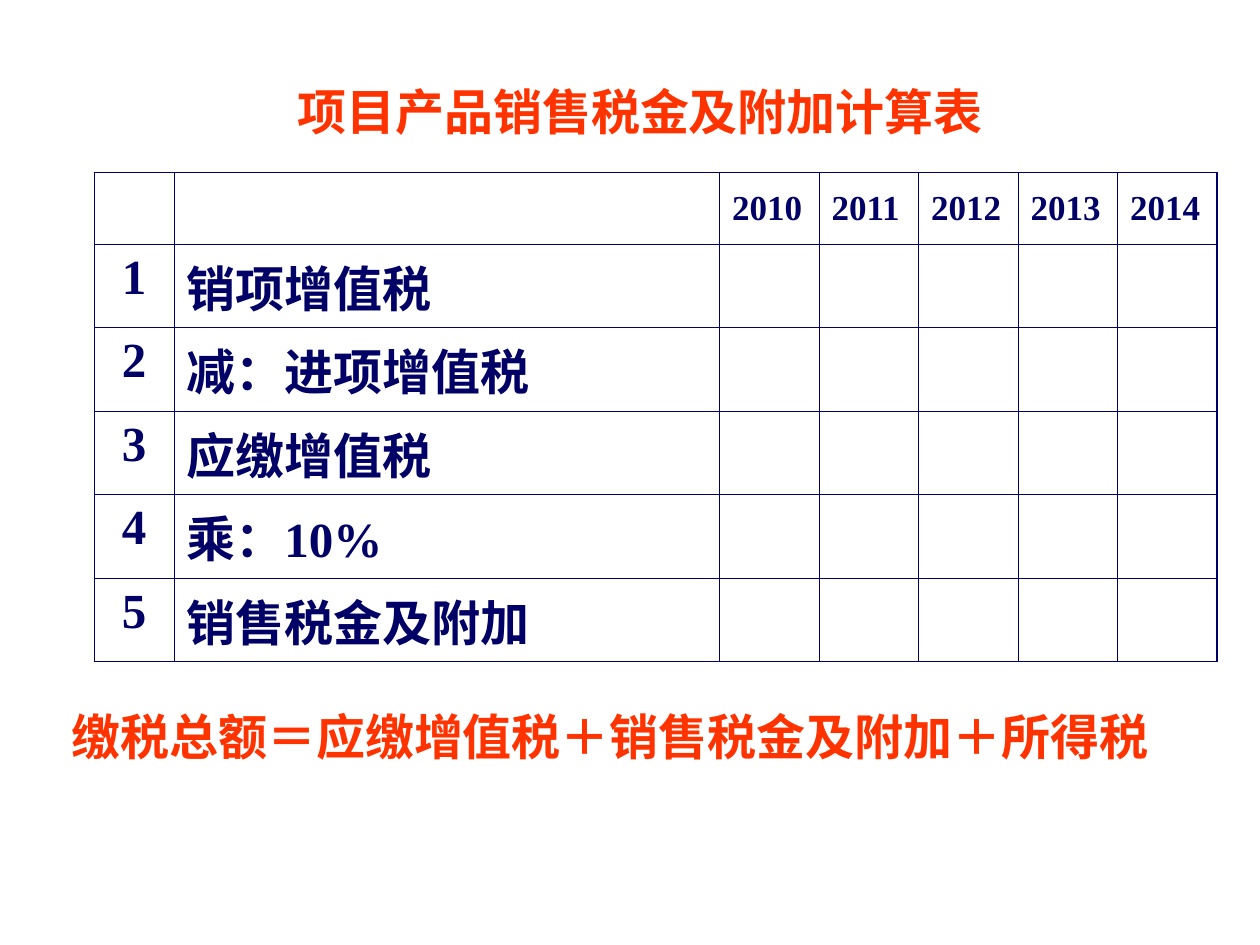
from lxml import etree
from pptx import Presentation
from pptx.dml.color import RGBColor
from pptx.enum.text import MSO_ANCHOR, MSO_AUTO_SIZE, PP_ALIGN
from pptx.oxml.ns import qn
from pptx.util import Inches, Pt

LEFT, CENTER = PP_ALIGN.LEFT, PP_ALIGN.CENTER
TOP, MIDDLE = MSO_ANCHOR.TOP, MSO_ANCHOR.MIDDLE
FIT_SHAPE = MSO_AUTO_SIZE.SHAPE_TO_FIT_TEXT

# Content
TITLE = "项目产品销售税金及附加计算表"
FORMULA = "缴税总额＝应缴增值税＋销售税金及附加＋所得税"
YEARS = ["2010", "2011", "2012", "2013", "2014"]
ITEMS = ["销项增值税", "减：进项增值税", "应缴增值税", "乘：10%", "销售税金及附加"]

# Style
COLORS = {"navy": "000066", "red": "FF3300"}
LATIN_FONT, CHINESE_FONT = "Times New Roman", "Noto Sans CJK SC"
THIN, THICK = 0.45, 1.08
COLUMN_WIDTHS = [0.63, 4.33] + [0.79] * len(YEARS)
ROW_HEIGHTS = [0.57] + [0.66] * len(ITEMS)


def write(frame, text, color="navy", size=28, font=LATIN_FONT, align=LEFT):
    para = frame.paragraphs[0]
    para.alignment = align
    span = para.add_run()
    span.text = text
    span.font.size = Pt(size)
    span.font.bold = True
    span.font.name = font
    span.font.color.rgb = RGBColor.from_string(COLORS[color])
    east_asian = etree.SubElement(span.font._element, qn("a:ea"))
    east_asian.set("typeface", CHINESE_FONT)


def add_heading(slide, text, left, top, width, align):
    box = slide.shapes.add_textbox(Inches(left), Inches(top), Inches(width), Inches(0.57))
    box.text_frame.word_wrap = True
    box.text_frame.auto_size = FIT_SHAPE
    write(box.text_frame, text, color="red", font=CHINESE_FONT, align=align)


def set_borders(cell, widths):
    properties = cell._tc.get_or_add_tcPr()
    for position, (side, width) in enumerate(widths.items()):
        line = etree.Element(qn(f"a:{side}"), w=str(Pt(width)))
        fill = etree.SubElement(line, qn("a:solidFill"))
        etree.SubElement(fill, qn("a:srgbClr"), val=COLORS["navy"])
        properties.insert(position, line)


def add_tax_table(slide):
    rows = [["", ""] + YEARS]
    rows += [[str(number), item] + [""] * len(YEARS)
             for number, item in enumerate(ITEMS, 1)]
    last_row, last_column = len(rows) - 1, len(COLUMN_WIDTHS) - 1
    table = slide.shapes.add_table(
        len(rows), len(COLUMN_WIDTHS), Inches(0.75), Inches(1.37),
        Inches(sum(COLUMN_WIDTHS)), Inches(sum(ROW_HEIGHTS))).table
    table.first_row = table.horz_banding = False
    for column, width in zip(table.columns, COLUMN_WIDTHS):
        column.width = Inches(width)
    for row, height in zip(table.rows, ROW_HEIGHTS):
        row.height = Inches(height)

    for r, values in enumerate(rows):
        for c, value in enumerate(values):
            cell = table.cell(r, c)
            cell.fill.background()
            cell.vertical_anchor = MIDDLE if r == 0 else TOP
            set_borders(cell, {
                "lnL": THICK if c == 0 else THIN,
                "lnR": THICK if c == last_column else THIN,
                "lnT": THICK if r == 0 else THIN,
                "lnB": THICK if r == last_row else THIN,
            })
            if value:
                write(cell.text_frame, value, size=20 if r == 0 else 28,
                      align=CENTER if c == 0 else LEFT)


def main():
    deck = Presentation()
    deck.slide_width, deck.slide_height = Inches(10), Inches(7.5)
    page = deck.slides.add_slide(deck.slide_layouts[6])

    # Table between the title and the formula
    add_tax_table(page)
    add_heading(page, TITLE, 1.85, 0.6, 6.46, CENTER)
    add_heading(page, FORMULA, 0.47, 5.56, 9.33, LEFT)
    deck.save("out.pptx")


if __name__ == "__main__":
    main()
